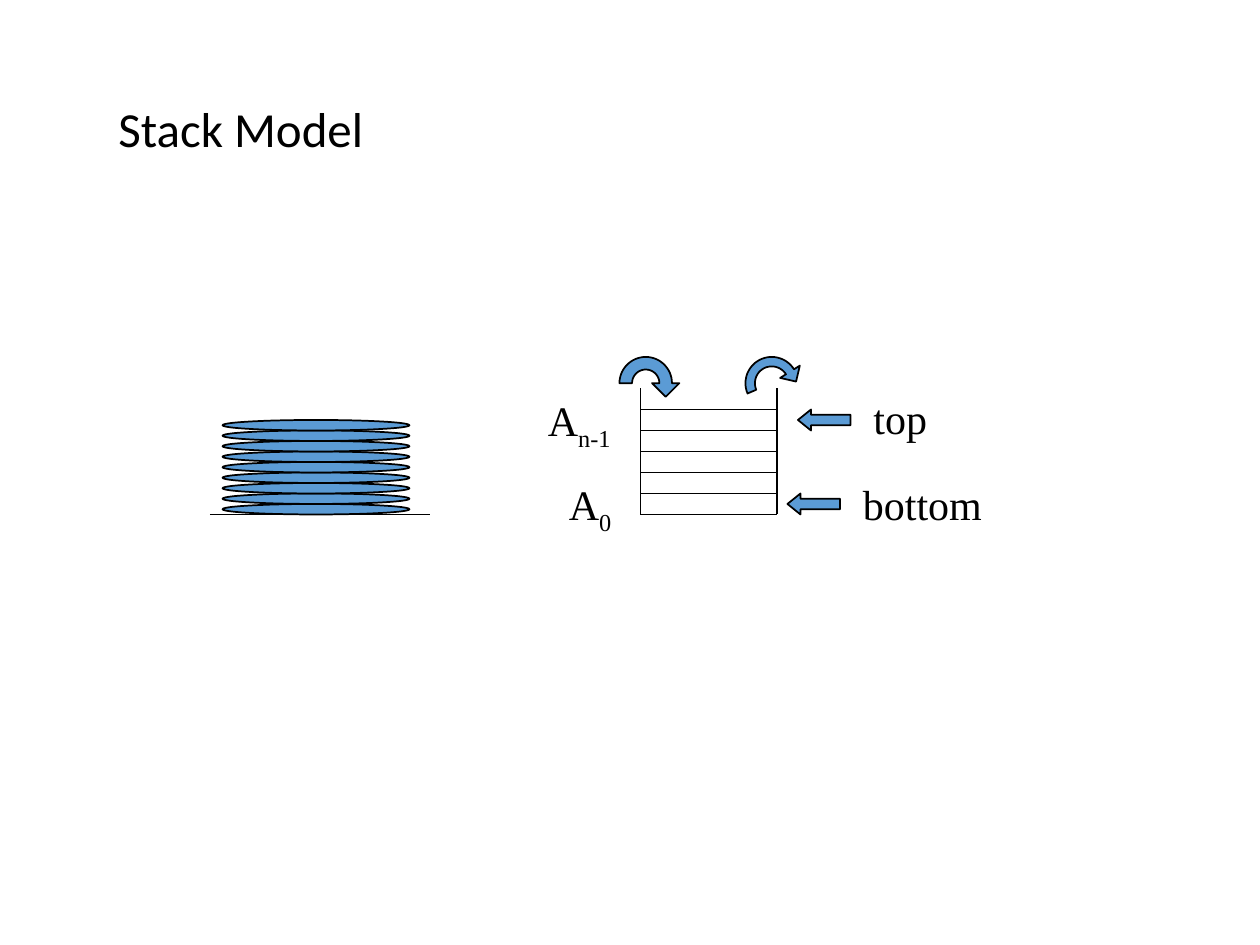
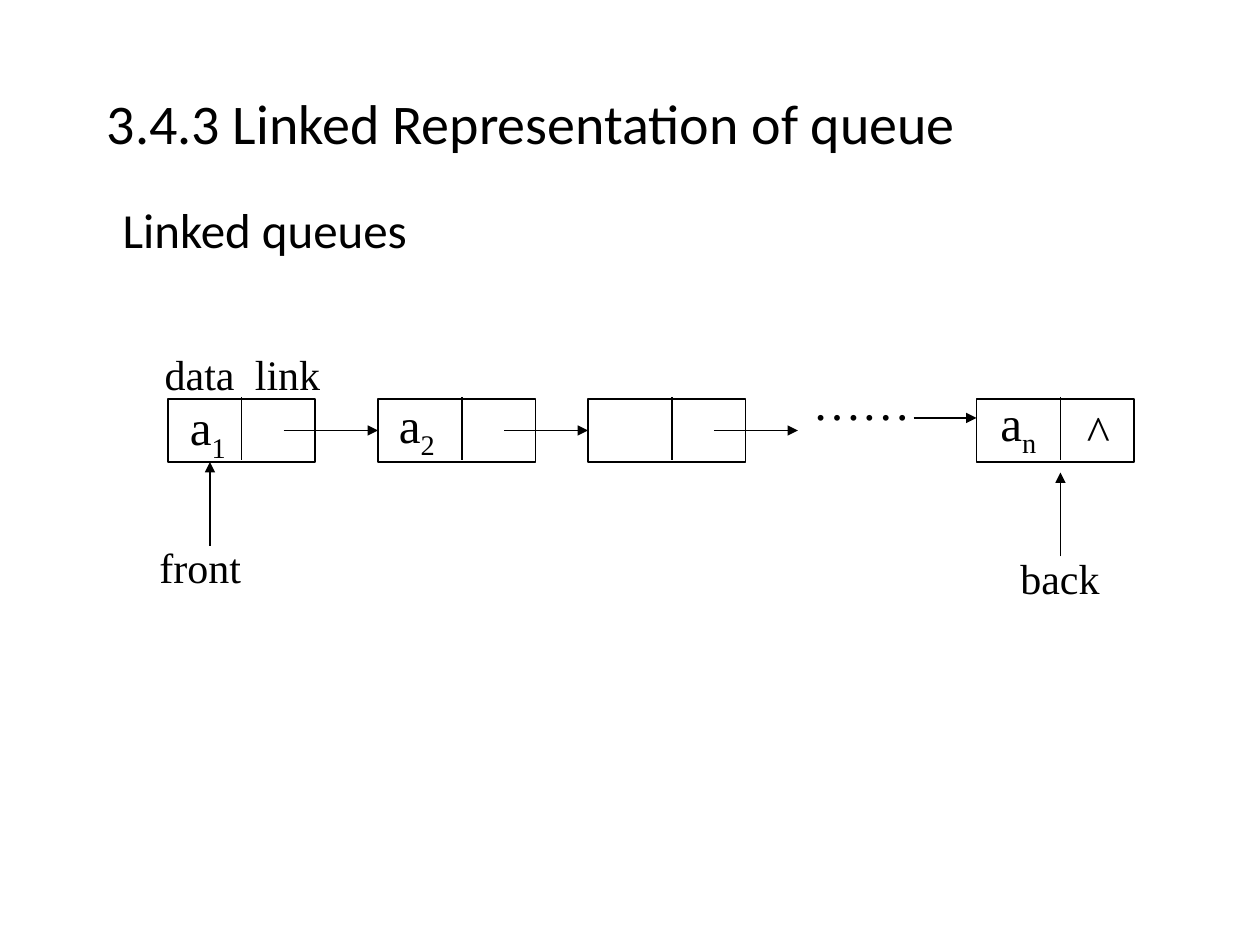
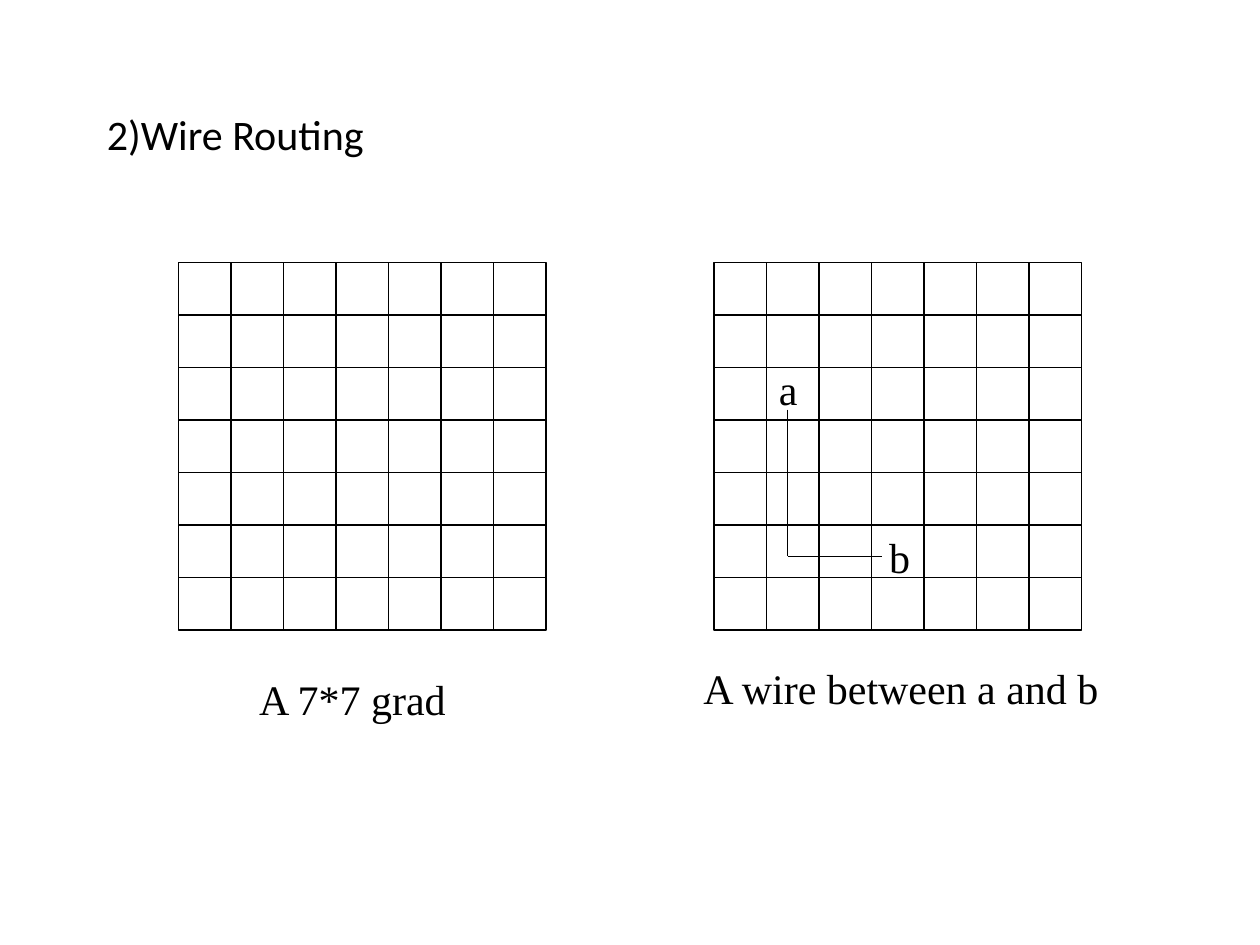
import math

import pptx
import pptx.dml.color
import pptx.enum.shapes
import pptx.enum.text
import pptx.oxml
import pptx.oxml.ns
import pptx.util
from lxml import etree

SHAPE = pptx.enum.shapes.MSO_SHAPE
MIDDLE = pptx.enum.text.MSO_ANCHOR.MIDDLE


def px(n):
    """120 px to the inch."""
    return pptx.util.Emu(round(n * 7620))


def rgb(code):
    return pptx.dml.color.RGBColor.from_string(code)


def add_xml(parent, tag, **attrs):
    return etree.SubElement(parent, pptx.oxml.ns.qn(tag), attrs)


class Deck:
    INK = "000000"
    BLUE = "5B9BD5"
    HEAD_FONT = "Calibri"
    BODY_FONT = "Times New Roman"

    def __init__(self):
        self.prs = pptx.Presentation()
        self.prs.slide_width = px(1200)
        self.prs.slide_height = px(900)
        self.s = None

    def slide(self, title, size, h, x=90):
        self.s = self.prs.slides.add_slide(self.prs.slide_layouts[6])
        sp = self.heading(x, 80, 1020, h, title, size)
        sp.text_frame.vertical_anchor = MIDDLE

    def heading(self, x, y, w, h, text, size):
        sp = self.label(x, y, w, h, text, size, font=self.HEAD_FONT)
        sp.text_frame.paragraphs[0].line_spacing = 0.9
        return sp

    def label(self, x, y, w, h, text, size=24, sub="", wrap=True, tab=0, font=BODY_FONT):
        sp = self.s.shapes.add_textbox(px(x), px(y), px(w), px(h))
        sp.text_frame.word_wrap = wrap
        self.fill_text(sp.text_frame, text, size, sub, tab, font)
        return sp

    def fill_text(self, tf, text, size, sub="", tab=0, font=BODY_FONT):
        p = tf.paragraphs[0]
        p.alignment = pptx.enum.text.PP_ALIGN.LEFT
        if tab:
            tabs = add_xml(p._p.get_or_add_pPr(), "a:tabLst")
            add_xml(tabs, "a:tab", pos=str(px(tab)), algn="l")
        p.font.name = font
        p.font.size = pptx.util.Pt(size)
        p.font.color.rgb = rgb(self.INK)
        p.add_run().text = text
        if sub:
            r = p.add_run()
            r.text = sub
            r._r.get_or_add_rPr().set("baseline", "-25000")

    def paint(self, sp, fill, width):
        sp.shadow.inherit = False
        if fill:
            sp.fill.solid()
            sp.fill.fore_color.rgb = rgb(fill)
        else:
            sp.fill.background()
        sp.line.color.rgb = rgb(self.INK)
        sp.line.width = pptx.util.Pt(width)
        return sp

    def shape(self, kind, x, y, w, h, fill=None, width=0.75):
        sp = self.s.shapes.add_shape(kind, px(x), px(y), px(w), px(h))
        return self.paint(sp, fill, width)

    def line(self, x1, y1, x2, y2, width=0.75, arrow=False):
        c = self.s.shapes.add_connector(
            pptx.enum.shapes.MSO_CONNECTOR.STRAIGHT, px(x1), px(y1), px(x2), px(y2))
        c.line.color.rgb = rgb(self.INK)
        c.line.width = pptx.util.Pt(width)
        if arrow:
            add_xml(c.line._get_or_add_ln(), "a:tailEnd", type="triangle")
        add_xml(c._element.spPr, "a:effectLst")

    def ring_arrow(self, cx, cy, inner, outer, start, end, half):
        """Clockwise ring segment whose head spans mid radius +/- half."""
        def at(radius, degrees, ahead=0):
            a = math.radians(degrees)
            return (px(cx + radius * math.cos(a) - ahead * math.sin(a)),
                    px(cy + radius * math.sin(a) + ahead * math.cos(a)))

        steps = 30
        angles = [start + (end - start) * i / steps for i in range(steps + 1)]
        mid = (inner + outer) / 2
        points = [at(inner, a) for a in reversed(angles)]
        points += [at(outer, a) for a in angles]
        points += [at(mid + half, end), at(mid, end, half), at(mid - half, end)]
        fb = self.s.shapes.build_freeform(*points[0])
        fb.add_line_segments(points[1:], close=True)
        self.paint(fb.convert_to_shape(), self.BLUE, 1)

    def grid(self, x, y, cell, count):
        side = cell * count
        self.shape(SHAPE.RECTANGLE, x, y, side, side)
        for d in range(cell, side, cell):
            self.line(x, y + d, x + side, y + d)
            self.line(x + d, y, x + d, y + side)


def stack_model(d):
    d.slide("Stack Model", 28, 90, x=101)

    # Pile of plates
    d.line(200, 490, 410, 490, width=1)
    for y in range(480, 399, -10):
        d.shape(SHAPE.OVAL, 212, y, 178, 10, d.BLUE, 1)

    # Open box with cells
    for x in (610, 740):
        d.line(x, 370, x, 490, width=1)
    for y in range(390, 491, 20):
        d.line(610, y, 740, y, width=1)

    # Push and pop
    d.ring_arrow(615, 365, 13, 25, 180, 360, 13)
    d.ring_arrow(735, 365, 16, 25, 157, 328, 11)

    # Ends of the stack
    for x, y in ((760, 390), (750, 470)):
        sp = d.shape(SHAPE.LEFT_ARROW, x, y, 50, 20, d.BLUE, 1)
        sp.adjustments[1] = 0.62
    d.label(820, 368, 250, 60, "top")
    d.label(810, 450, 250, 60, "bottom")
    d.label(530, 450, 80, 67, "A", sub="0")
    d.label(510, 370, 120, 67, "A", sub="n-1")


def linked_queue(d):
    d.slide("3.4.3 Linked Representation of queue", 32, 80)
    d.heading(105, 190, 1005, 60, "Linked queues", 28)

    # Nodes: left, width, divider
    for x, w, divider in ((160, 140, 230), (360, 150, 440), (560, 150, 640), (930, 150, 1010)):
        node = d.shape(SHAPE.RECTANGLE, x, 380, w, 60)
        d.line(divider, 378, divider, 438)
    tf = node.text_frame
    tf.margin_left = px(105)
    tf.vertical_anchor = MIDDLE
    d.fill_text(tf, "^", 28)

    # Links
    for x1, x2, y in ((270, 360, 410), (480, 560, 410), (680, 760, 410), (870, 930, 398)):
        d.line(x1, y, x2, y, arrow=True)
    d.label(762, 348, 138, 68, "……", 28)

    # Node contents
    d.label(145, 326, 205, 60, "data\tlink", tab=86)
    for x, y, w, sub in ((169, 372, 59, "1"), (368, 370, 59, "2"), (941, 368, 58, "n")):
        d.label(x, y, w, 76, "a", 28, sub=sub, wrap=False)

    # Pointers
    d.label(140, 510, 150, 60, "front")
    d.line(200, 520, 200, 440, arrow=True)
    d.label(960, 520, 110, 60, "back")
    d.line(1010, 530, 1010, 450, arrow=True)


def wire_routing(d):
    d.slide("2)Wire Routing", 24, 100)
    for x in (170, 680):
        d.grid(x, 250, 50, 7)

    # Wire
    d.line(750, 390, 750, 530)
    d.line(750, 530, 840, 530)

    # Ends and captions
    for x, y, w, text in ((730, 340, 42, "a"), (835, 500, 44, "b"),
                          (235, 636, 204, "A 7*7 grad"),
                          (658, 625, 403, "A wire between a and b")):
        d.label(x, y, w, 60, text, wrap=False)


def main():
    d = Deck()
    stack_model(d)
    linked_queue(d)
    wire_routing(d)
    d.prs.save("out.pptx")


if __name__ == "__main__":
    main()
